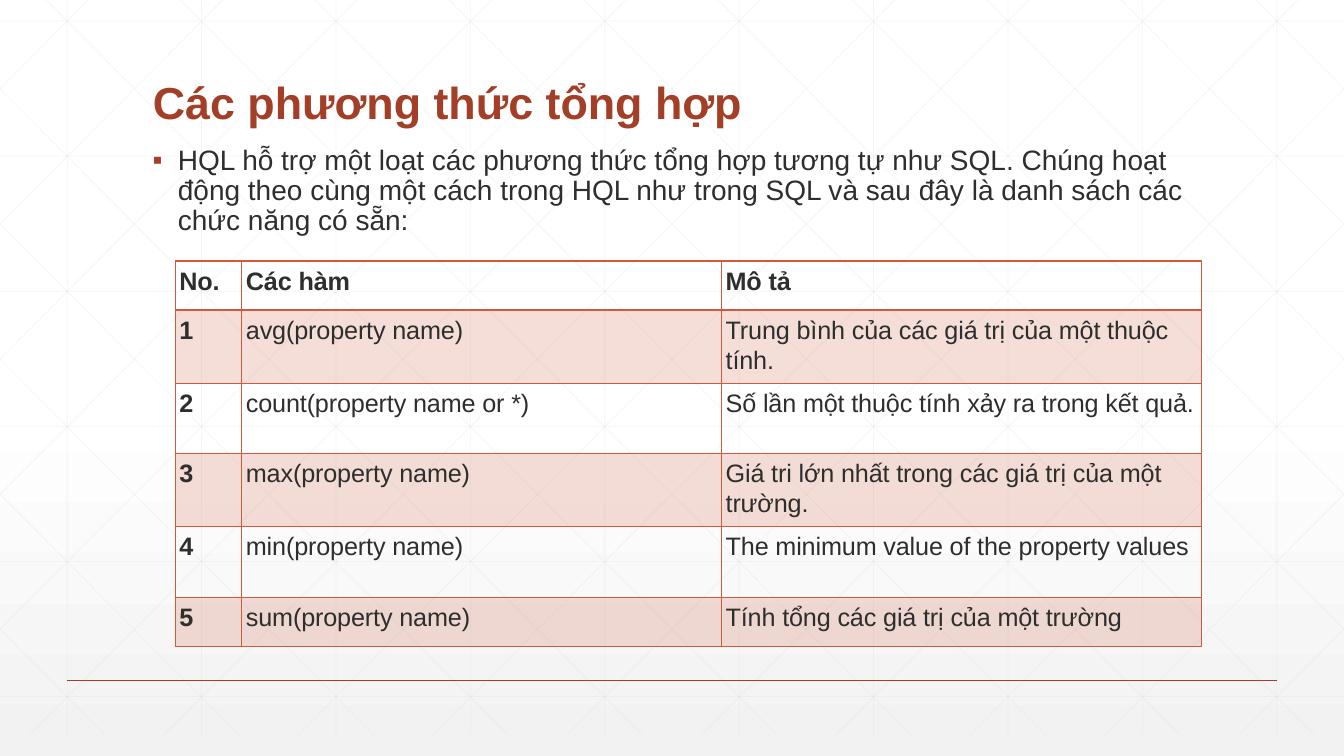
"""Build the slide listing the HQL aggregate methods."""
from lxml.etree import SubElement
from pptx import Presentation
from pptx.dml.color import RGBColor
from pptx.enum.shapes import MSO_CONNECTOR
from pptx.enum.text import MSO_ANCHOR, MSO_AUTO_SIZE, PP_ALIGN
from pptx.oxml.ns import qn
from pptx.util import Pt

color = RGBColor.from_string
RUST, ORANGE, INK, GRID = "A43F27", "D15A3E", "2D2E2D", "D9D9D9"
WIDTH, HEIGHT = 960, 540


def set_attributes(target, values, hex_color=None):
    for name, value in values.items():
        setattr(target, name, value)
    if hex_color:
        target.color.rgb = color(hex_color)


def set_alpha(element, percent):
    rgb = element.find(".//" + qn("a:srgbClr"))
    SubElement(rgb, qn("a:alpha"), val=str(percent * 1000))


presentation = Presentation()
set_attributes(presentation, {"slide_width": Pt(WIDTH), "slide_height": Pt(HEIGHT)})
slide = presentation.slides.add_slide(presentation.slide_layouts[5])
shapes = slide.shapes

background = slide.background.fill
background.gradient()
background.gradient_angle = 270
for stop, position, shade in zip(background.gradient_stops, (0.53, 1), ("FFFFFF", "F2F2F2")):
    set_attributes(stop, {"position": position}, shade)

PITCH, TOP, BOTTOM, RUN = 96, -15, 525, 537
slope = (BOTTOM - TOP) / RUN
grid_lines = [(48 + PITCH * i, TOP, 48 + PITCH * i, BOTTOM) for i in range(10)]
grid_lines += [(0, 15 + 96.5 * i, WIDTH, 15 + 96.5 * i) for i in range(6)]
for i in range(-5, 10):
    start = 18 + PITCH * i
    left, right = max(start, 0), min(start + RUN, WIDTH)
    upper, lower = (TOP + (x - start) * slope for x in (left, right))
    grid_lines.append((left, upper, right, lower))
    grid_lines.append((WIDTH - left, upper, WIDTH - right, lower))

rules = [(ends, GRID, 0.5, 25) for ends in grid_lines]
rules.append(((48, 486, 912, 486), RUST, 1, 100))
for ends, line_color, width, alpha in rules:
    connector = shapes.add_connector(MSO_CONNECTOR.STRAIGHT, *(Pt(value) for value in ends))
    set_attributes(connector.line, {"width": Pt(width)}, line_color)
    set_alpha(connector._element, alpha)
    SubElement(connector._element.spPr, qn("a:effectLst"))

title = shapes.title
shapes._spTree.append(title._element)
set_attributes(title, {"left": Pt(102), "top": Pt(39.6), "width": Pt(756), "height": Pt(90)})
title.text_frame.text = "Các phương thức tổng hợp"
set_attributes(title.text_frame, {
    "vertical_anchor": MSO_ANCHOR.BOTTOM, "margin_bottom": Pt(37),
    "auto_size": MSO_AUTO_SIZE.NONE, "word_wrap": True})
paragraph = title.text_frame.paragraphs[0]
set_attributes(paragraph, {"alignment": PP_ALIGN.LEFT, "line_spacing": 0.9})
set_attributes(paragraph.runs[0].font, {"name": "Arial", "size": Pt(32), "bold": True}, RUST)

introduction = shapes.add_textbox(Pt(102), Pt(100.8), Pt(756), Pt(138))
introduction.text_frame.word_wrap = True
paragraph = introduction.text_frame.paragraphs[0]
paragraph.text = ("HQL hỗ trợ một loạt các phương thức tổng hợp tương tự như SQL. "
                  "Chúng hoạt động theo cùng một cách trong HQL như trong SQL "
                  "và sau đây là danh sách các chức năng có sẵn:")
paragraph.line_spacing = 0.9
set_attributes(paragraph.runs[0].font, {"name": "Arial", "size": Pt(20)}, INK)
properties = paragraph._p.get_or_add_pPr()
properties.set("marL", str(Pt(18)))
properties.set("indent", str(Pt(-18)))
bullet_color = SubElement(properties, qn("a:buClr"))
SubElement(bullet_color, qn("a:srgbClr"), val=RUST)
SubElement(properties, qn("a:buFont"), typeface="Arial")
SubElement(properties, qn("a:buChar"), char="▪")

functions = [
    ("No.", "Các hàm", "Mô tả"),
    ("1", "avg(property name)", "Trung bình của các giá trị của một thuộc tính."),
    ("2", "count(property name or *)", "Số lần một thuộc tính xảy ra trong kết quả."),
    ("3", "max(property name)", "Giá tri lớn nhất trong các giá trị của một trường."),
    ("4", "min(property name)", "The minimum value of the property values"),
    ("5", "sum(property name)", "Tính tổng các giá trị của một trường"),
]
column_widths = (47.5, 342.7, 342.7)
row_heights = (35, 50.4, 50.4, 50.4, 50.4, 35)
table = shapes.add_table(len(functions), len(column_widths), Pt(125.2), Pt(186.5),
                         Pt(sum(column_widths)), Pt(sum(row_heights))).table
set_attributes(table, {"first_row": False, "horz_banding": False})
for column, width in zip(table.columns, column_widths):
    column.width = Pt(width)

for row_index, texts in enumerate(functions):
    table.rows[row_index].height = Pt(row_heights[row_index])
    for column_index, text in enumerate(texts):
        cell = table.cell(row_index, column_index)
        cell.text = text
        set_attributes(cell, {f"margin_{side}": Pt(3) for side in ("left", "right", "top", "bottom")})
        paragraph = cell.text_frame.paragraphs[0]
        set_attributes(paragraph, {"line_spacing": 1.07, "space_after": Pt(11.2)})
        font = paragraph.runs[0].font
        set_attributes(font, {"name": "Arial", "size": Pt(18),
                              "bold": row_index == 0 or column_index == 0}, INK)
        paragraph.runs[0]._r.get_or_add_rPr().set("spc", "-10")

        cell_properties = cell._tc.get_or_add_tcPr()
        for edge in "LRTB":
            heavy = (row_index, edge) in ((0, "B"), (1, "T"))
            border = SubElement(cell_properties, qn(f"a:ln{edge}"), w=str(Pt(2 if heavy else 1)))
            SubElement(SubElement(border, qn("a:solidFill")), qn("a:srgbClr"), val=ORANGE)
        if row_index % 2:
            cell.fill.solid()
            cell.fill.fore_color.rgb = color(ORANGE)
            set_alpha(cell_properties.find(qn("a:solidFill")), 20)
        else:
            cell.fill.background()

presentation.save("out.pptx")
